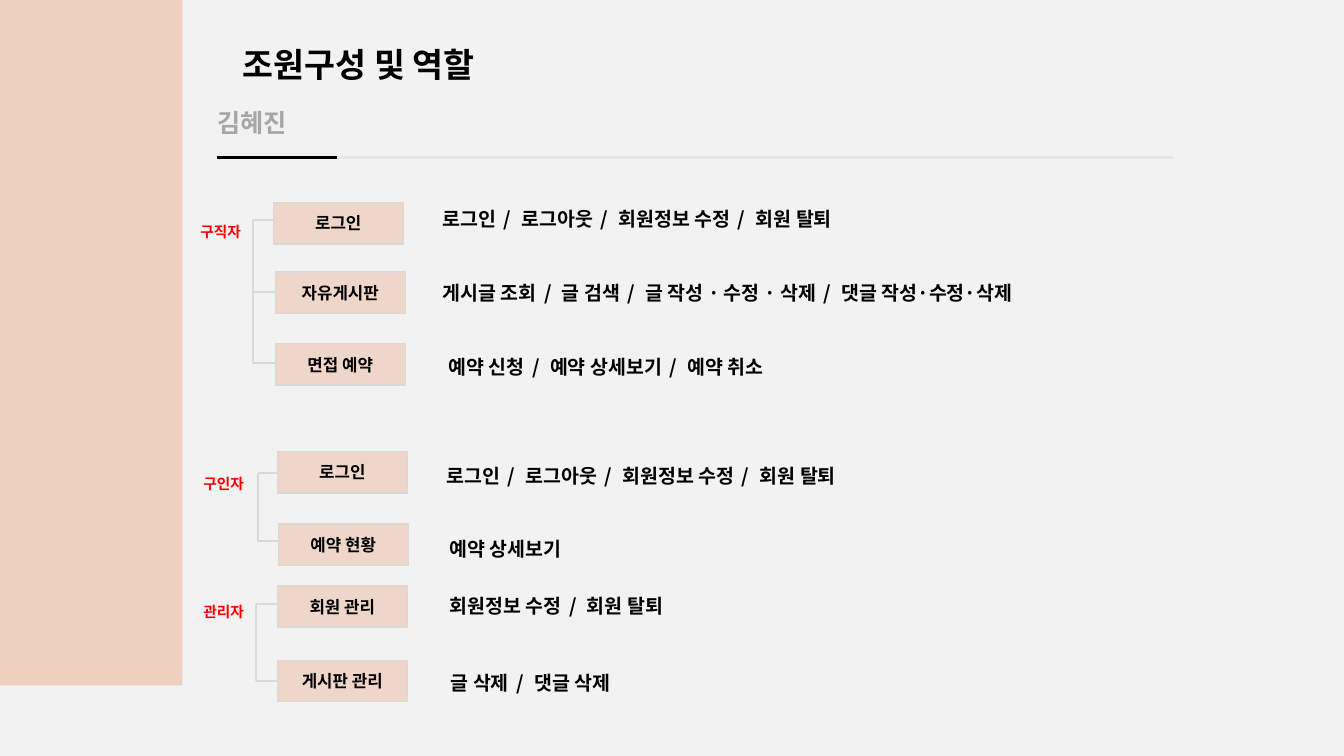
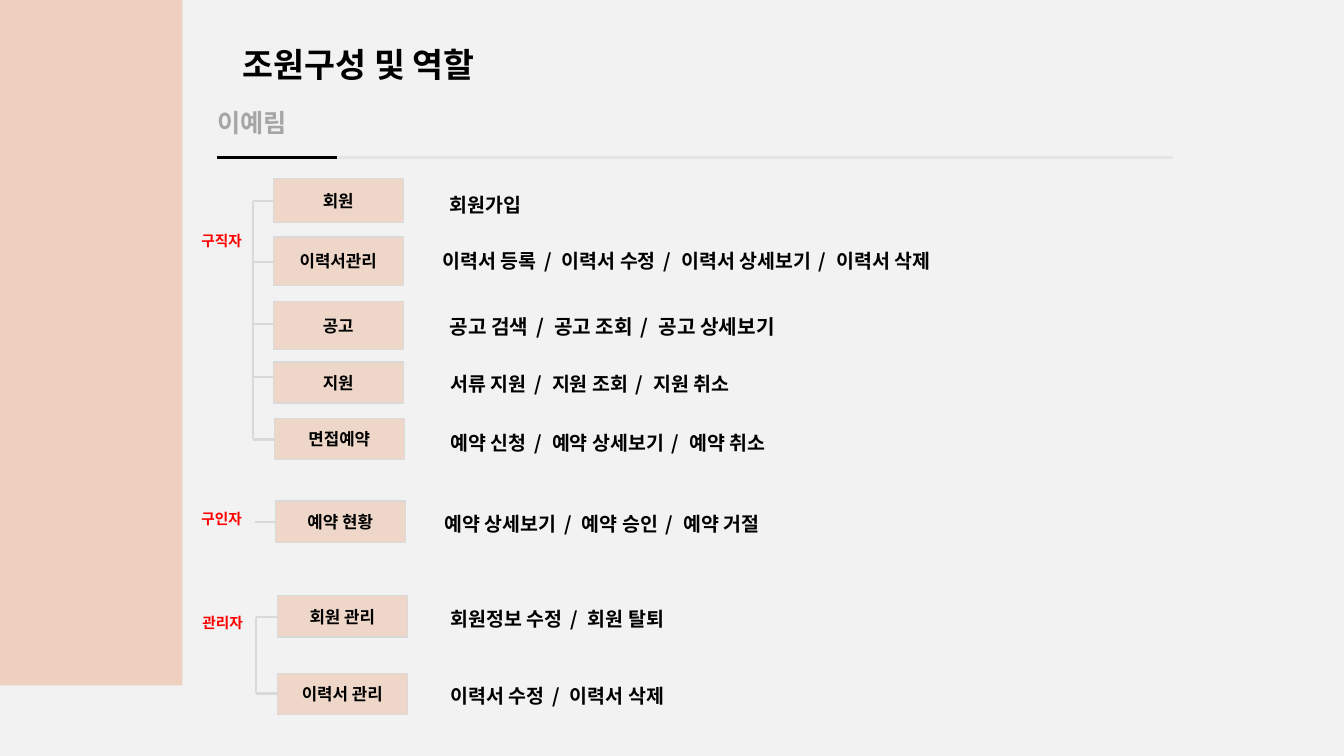
from collections import namedtuple

from lxml.etree import SubElement
from pptx import Presentation
from pptx.dml.color import RGBColor
from pptx.enum.shapes import MSO_CONNECTOR, MSO_SHAPE
from pptx.enum.text import MSO_ANCHOR, PP_ALIGN
from pptx.oxml.ns import qn
from pptx.util import Pt

PX = 9144  # 100 px to the inch
FONT = "Noto Sans CJK KR"
PAPER = RGBColor(0xF2, 0xF2, 0xF2)
PEACH = RGBColor(0xED, 0xD0, 0xBE)
BLACK = RGBColor(0x00, 0x00, 0x00)
GRAY = RGBColor(0xA6, 0xA6, 0xA6)
RULE = RGBColor(0xE5, 0xE5, 0xE5)
EDGE = RGBColor(0xD9, 0xD9, 0xD9)
RED = RGBColor(0xFF, 0x00, 0x00)
TITLE = "조원구성 및 역할"
SLASH = " / "
BOX_W = 129

Group = namedtuple("Group", "label x y trunk rows")
Row = namedtuple("Row", "name x y branch detail left top height size",
                 defaults=(41, 13.9))

MEMBERS = {
    "김혜진": [
        Group("구직자", 189, 216, 251, [
            Row("로그인", 271, 201, 218,
                "로그인 / 로그아웃 / 회원정보 수정 / 회원 탈퇴", 435, 195),
            Row("자유게시판", 273, 270, 290,
                "게시글 조회 / 글 검색 / 글 작성 · 수정 · 삭제 / 댓글 작성·수정·삭제",
                435, 268),
            Row("면접 예약", 273, 341, 360,
                "예약 신청 / 예약 상세보기 / 예약 취소", 441, 341),
        ]),
        Group("구인자", 192, 466, 256, [
            Row("로그인", 275, 448, 469,
                "로그인 / 로그아웃 / 회원정보 수정 / 회원 탈퇴", 439, 449),
            Row("예약 현황", 276, 520, 537, "예약 상세보기", 442, 522),
        ]),
        Group("관리자", 192, 593, 254, [
            Row("회원 관리", 275, 581, 599, "회원정보 수정 / 회원 탈퇴", 442, 578),
            Row("게시판 관리", 275, 655, 676, "글 삭제 / 댓글 삭제", 443, 655),
        ]),
    ],
    "이예림": [
        Group("구직자", 190, 225, 251, [
            Row("회원", 271, 177, 199, "회원가입", 442, 181, 44),
            Row("이력서관리", 271, 235, 260,
                "이력서 등록 / 이력서 수정 / 이력서 상세보기 / 이력서 삭제",
                435, 236, 48),
            Row("공고", 271, 299, 321,
                "공고 검색 / 공고 조회 / 공고 상세보기", 442, 301, 48, 14.4),
            Row("지원", 271, 359, 374,
                "서류 지원 / 지원 조회 / 지원 취소", 443, 358),
            Row("면접예약", 272, 415, 436,
                "예약 신청 / 예약 상세보기 / 예약 취소", 443, 417),
        ]),
        Group("구인자", 190, 501, 253, [
            Row("예약 현황", 273, 497, 518,
                "예약 상세보기 / 예약 승인 / 예약 거절", 437, 497),
        ]),
        Group("관리자", 191, 604, 254, [
            Row("회원 관리", 275, 591, 612, "회원정보 수정 / 회원 탈퇴", 443, 591),
            Row("이력서 관리", 275, 668, 688, "이력서 수정 / 이력서 삭제", 443, 668),
        ]),
    ],
}


def scale(*sizes):
    return [size * PX for size in sizes]


def add_run(para, text, size, color, gap=0):
    """Add a bold run; gap is extra letter spacing in hundredths of a point."""
    run = para.add_run()
    run.text = text
    font = run.font
    font.name, font.size, font.bold = FONT, Pt(size), True
    font.color.rgb = color
    props = run._r.get_or_add_rPr()
    SubElement(props, qn("a:ea")).set("typeface", FONT)
    if gap:
        props.set("spc", str(gap))


def write(frame, text, size=12, color=BLACK, align=PP_ALIGN.LEFT,
          lines=1.0, inset=None, anchor=MSO_ANCHOR.TOP):
    """Fill a text frame, with wider spacing around each slash."""
    frame.word_wrap = True
    frame.vertical_anchor = anchor
    if inset is not None:
        frame.margin_left = frame.margin_right = inset * PX
        frame.margin_top = frame.margin_bottom = inset * PX
    para = frame.paragraphs[0]
    para.alignment = align
    para.line_spacing = lines
    for index, part in enumerate(text.split(SLASH)):
        if index:
            add_run(para, SLASH, size, color, gap=210)
        add_run(para, part, size, color)


def add_text(slide, text, x, y, w, h, **style):
    box = slide.shapes.add_textbox(*scale(x, y, w, h))
    write(box.text_frame, text, **style)


def add_rect(slide, x, y, w, h):
    rect = slide.shapes.add_shape(MSO_SHAPE.RECTANGLE, *scale(x, y, w, h))
    rect.shadow.inherit = False
    rect.fill.solid()
    rect.fill.fore_color.rgb = PEACH
    rect.line.fill.background()
    return rect


def add_box(slide, row):
    box = add_rect(slide, row.x, row.y, BOX_W, row.height)
    tint = box._element.spPr.find(qn("a:solidFill"))[0]
    SubElement(tint, qn("a:alpha")).set("val", "79000")
    box.line.color.rgb = EDGE
    box.line.width = Pt(1)
    write(box.text_frame, row.name, align=PP_ALIGN.CENTER,
          anchor=MSO_ANCHOR.MIDDLE)


def add_line(slide, x1, y1, x2, y2, color=EDGE, width=1.5):
    line = slide.shapes.add_connector(MSO_CONNECTOR.STRAIGHT,
                                      *scale(x1, y1, x2, y2))
    line.line.color.rgb = color
    line.line.width = Pt(width)
    SubElement(line._element.spPr, qn("a:effectLst"))


def add_frame(slide, member):
    """Draw the background, side band, title, member name and rule."""
    slide.background.fill.solid()
    slide.background.fill.fore_color.rgb = PAPER
    add_rect(slide, 0, 0, 181, 680)
    add_text(slide, TITLE, 231, 19, 476, 71, size=24, lines=1.5)
    add_text(slide, member, 206, 102, 165, 40, size=18, color=GRAY)
    add_line(slide, 215, 156, 1163, 156, color=RULE, width=2)
    add_line(slide, 215, 156, 334, 156, color=BLACK, width=2)


def add_group(slide, group):
    """Draw a role label, its bracket, and a box and detail for each row."""
    add_text(slide, group.label, group.x, group.y, 84, 28,
             size=10.5, color=RED)
    for row in group.rows:
        add_box(slide, row)
        add_line(slide, group.trunk, row.branch, row.x, row.branch)
        add_text(slide, row.detail, row.left, row.top, 798, 40,
                 size=row.size, lines=1.3, inset=4)
    if len(group.rows) > 1:
        add_line(slide, group.trunk, group.rows[0].branch,
                 group.trunk, group.rows[-1].branch)


def main():
    deck = Presentation()
    deck.slide_width, deck.slide_height = scale(1333, 750)
    for member, groups in MEMBERS.items():
        slide = deck.slides.add_slide(deck.slide_layouts[6])
        add_frame(slide, member)
        for group in groups:
            add_group(slide, group)
    deck.save("out.pptx")


if __name__ == "__main__":
    main()
